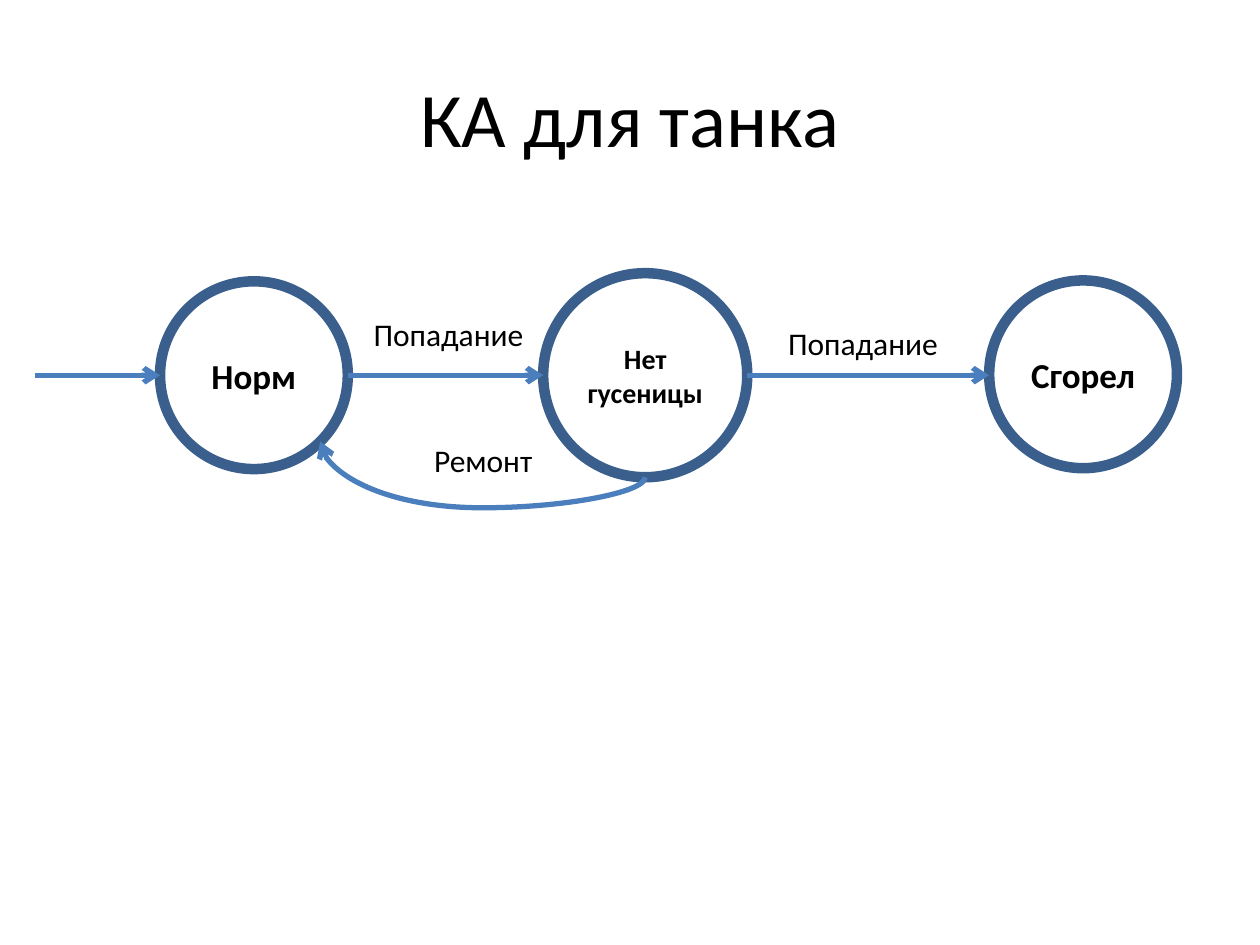
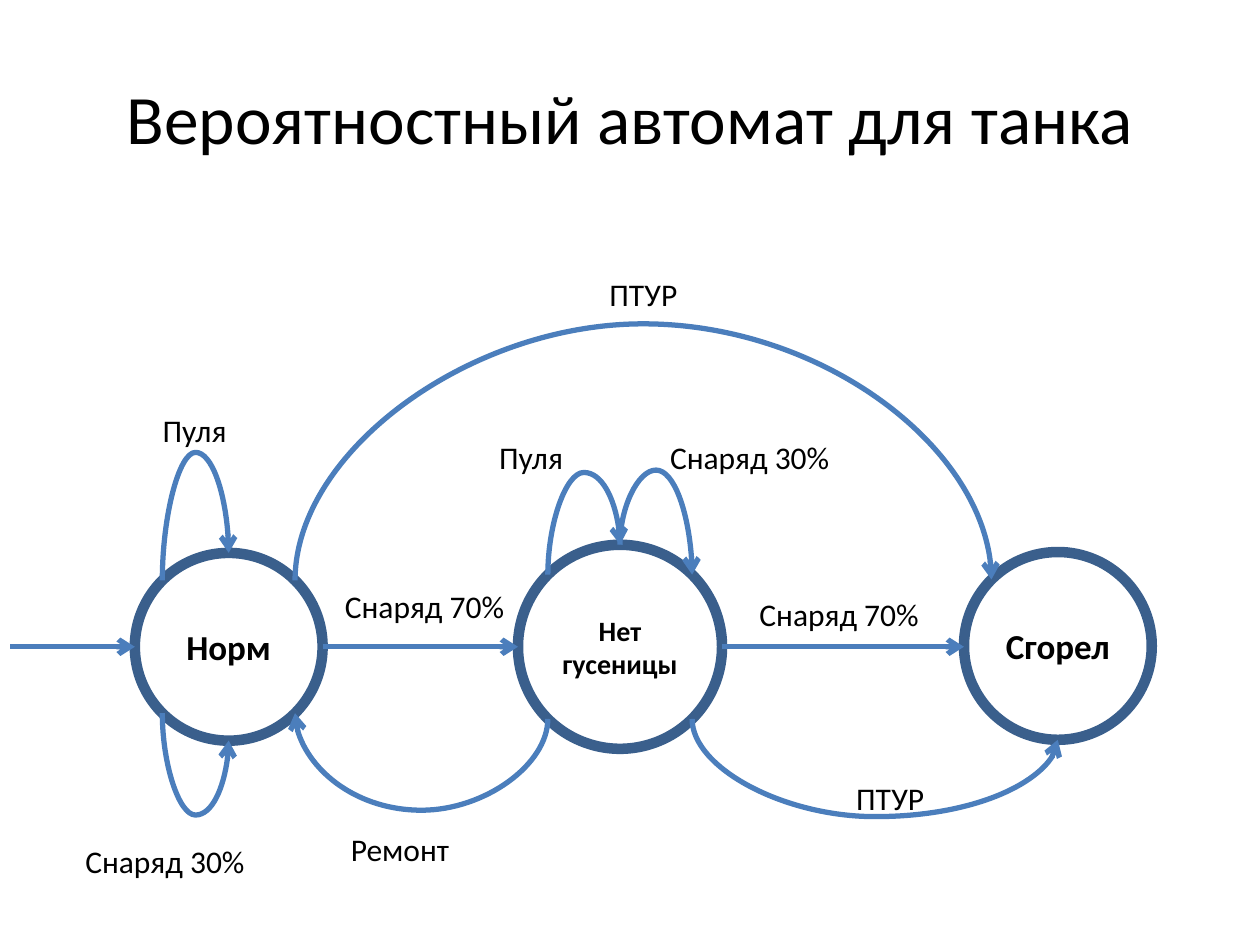
from dataclasses import dataclass
from math import cos, radians, sin

from lxml import etree
from pptx import Presentation
from pptx import util as u
from pptx.dml.color import RGBColor
from pptx.enum import shapes, text
from pptx.oxml import ns

FONT = "Calibri"
INK, RIM, ARROW = "000000", "3A5F8C", "4B7EBC"
RIGHT, LOWER_RIGHT, BOTTOM, LOWER_LEFT = 0, 45, 90, 135
LEFT, UPPER_LEFT, TOP, UPPER_RIGHT = 180, 225, 270, 315
ENTRY_LENGTH = 71.3


@dataclass
class State:
    """A round automaton state, given by its centre and diameter."""
    name: str
    x: float
    y: float
    diameter: float
    size: int

    def rim(self, angle):
        """Return the point on the circle at a clockwise angle."""
        radius = self.diameter / 2
        return (self.x + radius * cos(radians(angle)),
                self.y + radius * sin(radians(angle)))


def colour(value):
    """Turn a hex string into a colour."""
    return RGBColor.from_string(value)


def style(para, size, bold=False):
    """Give a paragraph the deck's centred lettering."""
    para.alignment = text.PP_ALIGN.CENTER
    para.font.name = FONT
    para.font.size = u.Pt(size)
    para.font.bold = bold
    para.font.color.rgb = colour(INK)


def add_page(deck, title, size):
    """Add a slide with a title."""
    page = deck.slides.add_slide(deck.slide_layouts[5])
    box = page.shapes.title
    box.left, box.top, box.width, box.height = map(u.Pt, (36, 21.6, 648, 90))
    frame = box.text_frame
    frame.text = title
    frame.auto_size = text.MSO_AUTO_SIZE.NONE
    frame.vertical_anchor = text.MSO_ANCHOR.MIDDLE
    style(frame.paragraphs[0], size)
    return page


def add_state(page, state):
    """Draw a state as a ring with its name."""
    side = state.diameter
    ring = page.shapes.add_shape(
        shapes.MSO_SHAPE.OVAL, u.Pt(state.x - side / 2), u.Pt(state.y - side / 2),
        u.Pt(side), u.Pt(side))
    ring.shadow.inherit = False
    ring.fill.background()
    ring.line.color.rgb = colour(RIM)
    ring.line.width = u.Pt(6)
    frame = ring.text_frame
    frame.word_wrap = True
    frame.vertical_anchor = text.MSO_ANCHOR.MIDDLE
    frame.text = state.name
    style(frame.paragraphs[0], state.size, bold=True)


def add_label(page, wording, centre, top, width):
    """Add a one-line transition label."""
    box = page.shapes.add_textbox(
        u.Pt(centre - width / 2), u.Pt(top), u.Pt(width), u.Pt(29.1))
    frame = box.text_frame
    frame.text = wording
    frame.word_wrap = False
    frame.auto_size = text.MSO_AUTO_SIZE.SHAPE_TO_FIT_TEXT
    style(frame.paragraphs[0], 18)


def add_arrow(page, kind, x1, y1, x2, y2):
    """Add a connector with an open arrowhead at its end."""
    arrow = page.shapes.add_connector(kind, *map(u.Pt, (x1, y1, x2, y2)))
    arrow.line.color.rgb = colour(ARROW)
    arrow.line.width = u.Pt(3)
    properties = arrow._element.spPr
    etree.SubElement(properties.find(ns.qn("a:ln")), ns.qn("a:tailEnd"), type="arrow")
    etree.SubElement(properties, ns.qn("a:effectLst"))
    return arrow


def add_straight(page, start, end_x):
    """Add a level arrow from a point to an x position."""
    x, y = start
    add_arrow(page, shapes.MSO_CONNECTOR.STRAIGHT, x, y, end_x, y)


def add_arc(page, start, end, depth):
    """Add a curved arrow that leaves and arrives vertically via a depth."""
    (x1, y1), (x2, y2) = start, end
    across, along = abs(x2 - x1), abs(y2 - y1)
    left, top = (x1 + x2 - along) / 2, (y1 + y2 - across) / 2
    arrow = add_arrow(page, shapes.MSO_CONNECTOR.CURVE,
                      left, top, left + along, top + across)
    properties = arrow._element.spPr
    frame = properties.find(ns.qn("a:xfrm"))
    rising = y2 < y1
    frame.set("rot", str((90 if rising else 270) * 60000))
    frame.set("flipH", "1")
    if rising and x2 > x1:
        frame.set("flipV", "1")
    bend = round((depth - y1) / (y2 - y1) * 100000)
    guides = properties.find(ns.qn("a:prstGeom")).get_or_add_avLst()
    etree.SubElement(guides, ns.qn("a:gd"), name="adj1", fmla=f"val {bend}")


def add_automaton(page, x, y):
    """Draw the three states, the entry and the arrows between them."""
    states = (State("Норм", x, y, 107.3, 20),
              State("Нет гусеницы", x + 223.6, y, 116.6, 16),
              State("Сгорел", x + 473.8, y - 0.5, 107.3, 20))
    for state in states:
        add_state(page, state)
    entry = states[0].rim(LEFT)[0]
    add_straight(page, (entry - ENTRY_LENGTH, y), entry)
    for state, following in zip(states, states[1:]):
        add_straight(page, state.rim(RIGHT), following.rim(LEFT)[0])
    return states


def add_simple_page(deck):
    """Build the slide with the plain automaton."""
    page = add_page(deck, "КА для танка", 44)
    normal, trackless, _ = add_automaton(page, 145.1, 214.4)
    add_arc(page, trackless.rim(BOTTOM), normal.rim(LOWER_RIGHT), 290.2)
    add_label(page, "Попадание", 256.3, 176.4, 100.8)
    add_label(page, "Попадание", 493.2, 181.4, 100.8)
    add_label(page, "Ремонт", 276.1, 248.6, 71.3)


def add_probability_page(deck):
    """Build the slide with the probabilistic automaton."""
    page = add_page(deck, "Вероятностный автомат для танка", 39.6)
    normal, trackless, burnt = add_automaton(page, 130.7, 369.6)
    for source, leave, target, arrive, depth in (
            (trackless, LOWER_LEFT, normal, LOWER_RIGHT, 463),
            (normal, UPPER_LEFT, normal, TOP, 258.5),
            (trackless, UPPER_LEFT, trackless, TOP, 270),
            (normal, UPPER_RIGHT, burnt, UPPER_LEFT, 188),
            (trackless, LOWER_RIGHT, burnt, BOTTOM, 466.6),
            (normal, LOWER_LEFT, normal, BOTTOM, 465.8),
            (trackless, TOP, trackless, UPPER_RIGHT, 268.6)):
        add_arc(page, source.rim(leave), target.rim(arrive), depth)
    for wording, centre, top, width in (
            ("Снаряд 70%", 242.6, 331.9, 106.6),
            ("Снаряд 70%", 479.5, 336.2, 106.6),
            ("Ремонт", 228.6, 470.9, 71.3),
            ("ПТУР", 367.6, 153.4, 54),
            ("Пуля", 111.2, 231.1, 51.1),
            ("Пуля", 303.5, 247, 51.1),
            ("ПТУР", 508.7, 441.4, 54),
            ("Снаряд 30%", 94.3, 477.4, 106.6),
            ("Снаряд 30%", 428.4, 247, 106.6)):
        add_label(page, wording, centre, top, width)


def main():
    """Build and save the deck."""
    deck = Presentation()
    deck.slide_width, deck.slide_height = u.Pt(720), u.Pt(540)
    add_simple_page(deck)
    add_probability_page(deck)
    deck.save("out.pptx")


main()
